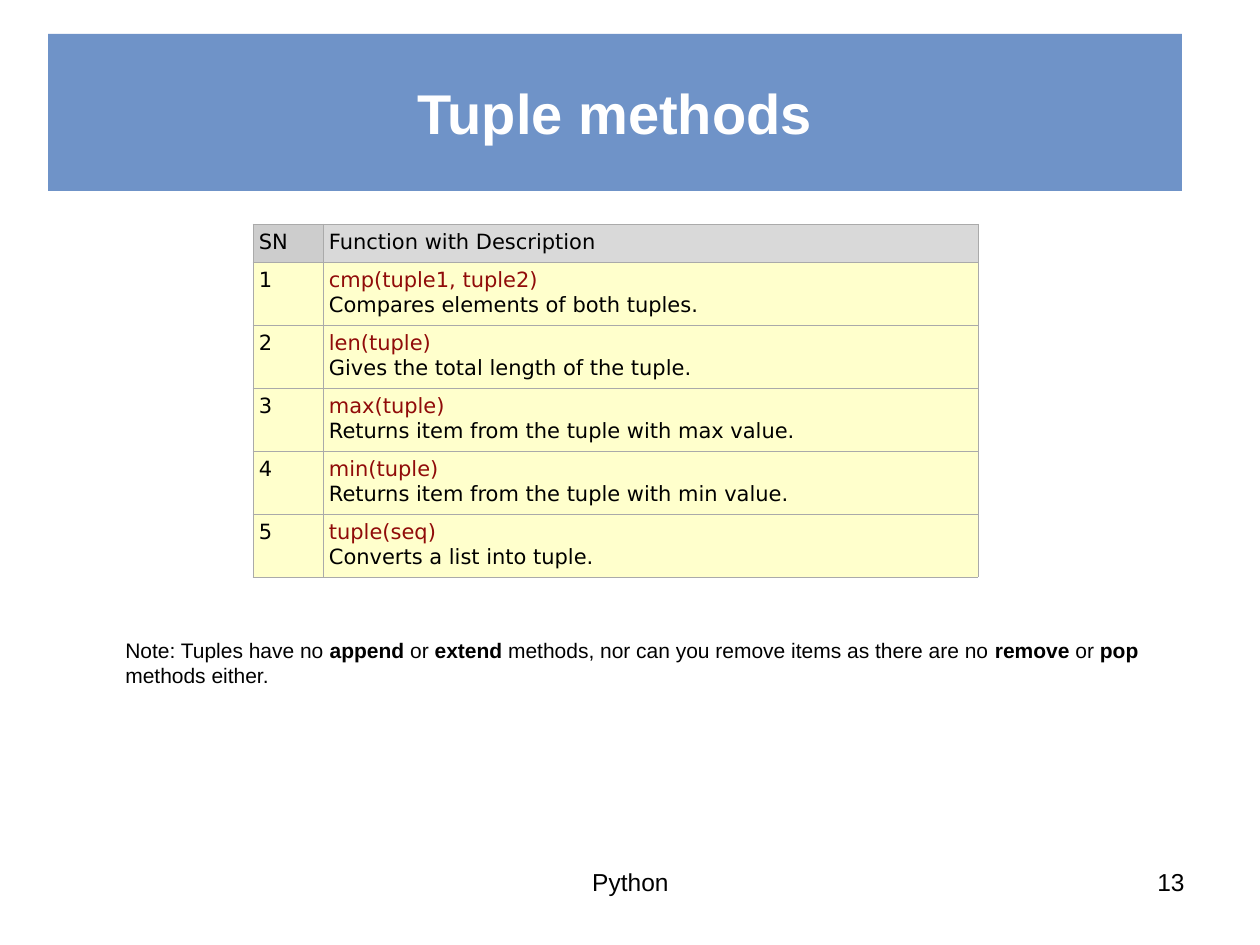
"""Build the slide that lists the tuple methods."""
from dataclasses import dataclass

from lxml.etree import SubElement
from pptx import Presentation
from pptx.dml.color import RGBColor
from pptx.enum.text import MSO_ANCHOR, PP_ALIGN
from pptx.oxml import parse_xml
from pptx.oxml.ns import nsdecls, qn
from pptx.util import Emu, Pt

SCALE = 914400 / 126
BLUE = RGBColor(0x47, 0x75, 0xB9)
WHITE = RGBColor(0xFF, 0xFF, 0xFF)
BLACK = RGBColor(0x00, 0x00, 0x00)
RED = RGBColor(0x90, 0x0B, 0x09)
GREY = RGBColor(0xAA, 0xAA, 0xAA)
HEAD_DARK = RGBColor(0xCD, 0xCD, 0xCD)
HEAD_LIGHT = RGBColor(0xD9, 0xD9, 0xD9)
CREAM = RGBColor(0xFF, 0xFF, 0xCC)

TITLE_FONT = {"name": "Arial", "size": Pt(32), "bold": True}
TABLE_FONT = {"name": "DejaVu Sans", "size": Pt(12)}
NOTE_FONT = {"name": "Arial", "size": Pt(12)}
FOOT_FONT = {"name": "Arial", "size": Pt(14)}


@dataclass(frozen=True)
class Box:
    """A rectangle in px."""
    left: int
    top: int
    width: int
    height: int


@dataclass(frozen=True)
class Method:
    """A tuple function and what it does."""
    call: str
    description: str


@dataclass(frozen=True)
class Label:
    """A text box whose runs alternate between regular and bold."""
    box: Box
    runs: tuple[str, ...]
    font: dict
    align: PP_ALIGN


METHODS = (
    Method("cmp(tuple1, tuple2)", "Compares elements of both tuples."),
    Method("len(tuple)", "Gives the total length of the tuple."),
    Method("max(tuple)", "Returns item from the tuple with max value."),
    Method("min(tuple)", "Returns item from the tuple with min value."),
    Method("tuple(seq)", "Converts a list into tuple."),
)
NOTE = ("Note: Tuples have no ", "append", " or ", "extend",
        " methods, nor can you remove items as there are no ",
        "remove", " or ", "pop", " methods either.")
LABELS = (
    Label(Box(113, 631, 1111, 63), NOTE, NOTE_FONT, PP_ALIGN.LEFT),
    Label(Box(903, 861, 294, 65), ("13",), FOOT_FONT, PP_ALIGN.RIGHT),
    Label(Box(431, 861, 399, 65), ("Python",), FOOT_FONT, PP_ALIGN.CENTER),
)
TITLE_BOX = Box(48, 34, 1134, 157)
TABLE_BOX = Box(253, 224, 725, 355)
COLUMNS = (70, 655)
HEAD_ROW, BODY_ROW, CELL_INSET = 38, 63, 6


def px(n: int) -> Emu:
    """Turn px into EMU."""
    return Emu(round(n * SCALE))


def area(box: Box) -> tuple[Emu, ...]:
    """Give left, top, width and height in EMU."""
    return px(box.left), px(box.top), px(box.width), px(box.height)


def set_all(obj, values: dict) -> None:
    """Set every attribute named in values."""
    for name, value in values.items():
        setattr(obj, name, value)


def add_run(p, text: str, font: dict, color: RGBColor = BLACK) -> None:
    """Append a formatted run to a paragraph."""
    r = p.add_run()
    r.text = text
    set_all(r.font, font)
    r.font.color.rgb = color


def draw_title(s, text: str) -> None:
    """Place the title on its translucent band."""
    sp = s.shapes.title
    set_all(sp, dict(zip(("left", "top", "width", "height"), area(TITLE_BOX))))
    sp.fill.solid()
    sp.fill.fore_color.rgb = BLUE
    color = sp.fill._xPr.find(qn("a:solidFill"))[0]
    SubElement(color, qn("a:alpha")).set("val", "78000")
    tf = sp.text_frame
    set_all(tf, {"vertical_anchor": MSO_ANCHOR.MIDDLE, "word_wrap": True})
    p = tf.paragraphs[0]
    p.alignment = PP_ALIGN.CENTER
    add_run(p, text, TITLE_FONT, WHITE)


def draw_label(s, label: Label) -> None:
    """Draw a text box, with every second run bold."""
    tf = s.shapes.add_textbox(*area(label.box)).text_frame
    tf.word_wrap = True
    p = tf.paragraphs[0]
    p.alignment = label.align
    for i, text in enumerate(label.runs):
        add_run(p, text, label.font | {"bold": i % 2 == 1})


def style_cell(cell, fill: RGBColor) -> None:
    """Set the fill, insets and thin borders of a cell."""
    cell.fill.solid()
    cell.fill.fore_color.rgb = fill
    sides = ("left", "right", "top", "bottom")
    set_all(cell, {f"margin_{side}": px(CELL_INSET) for side in sides})
    tcPr = cell._tc.get_or_add_tcPr()
    for i, side in enumerate("LRTB"):
        tcPr.insert(i, parse_xml(
            f'<a:ln{side} w="4320" {nsdecls("a")}><a:solidFill>'
            f'<a:srgbClr val="{GREY}"/></a:solidFill></a:ln{side}>'))


def draw_table(s, methods: tuple[Method, ...]) -> None:
    """Draw the numbered table of methods."""
    table = s.shapes.add_table(len(methods) + 1, len(COLUMNS), *area(TABLE_BOX)).table
    set_all(table, {"first_row": False, "horz_banding": False})
    for column, width in zip(table.columns, COLUMNS):
        column.width = px(width)
    for i, row in enumerate(table.rows):
        row.height = px(BODY_ROW if i else HEAD_ROW)
    heads = (("SN", HEAD_DARK), ("Function with Description", HEAD_LIGHT))
    for cell, (text, fill) in zip(table.rows[0].cells, heads):
        style_cell(cell, fill)
        add_run(cell.text_frame.paragraphs[0], text, TABLE_FONT)
    for i, method in enumerate(methods, 1):
        number, function = table.rows[i].cells
        for cell in (number, function):
            style_cell(cell, CREAM)
        add_run(number.text_frame.paragraphs[0], str(i), TABLE_FONT)
        p = function.text_frame.paragraphs[0]
        add_run(p, method.call, TABLE_FONT, RED)
        p.add_line_break()
        add_run(p, method.description, TABLE_FONT)


def main() -> None:
    """Build and save the slide."""
    prs = Presentation()
    set_all(prs, {"slide_width": px(1260), "slide_height": px(945)})
    s = prs.slides.add_slide(prs.slide_layouts[5])
    draw_title(s, "Tuple methods")
    draw_table(s, METHODS)
    for label in LABELS:
        draw_label(s, label)
    prs.save("out.pptx")


if __name__ == "__main__":
    main()
